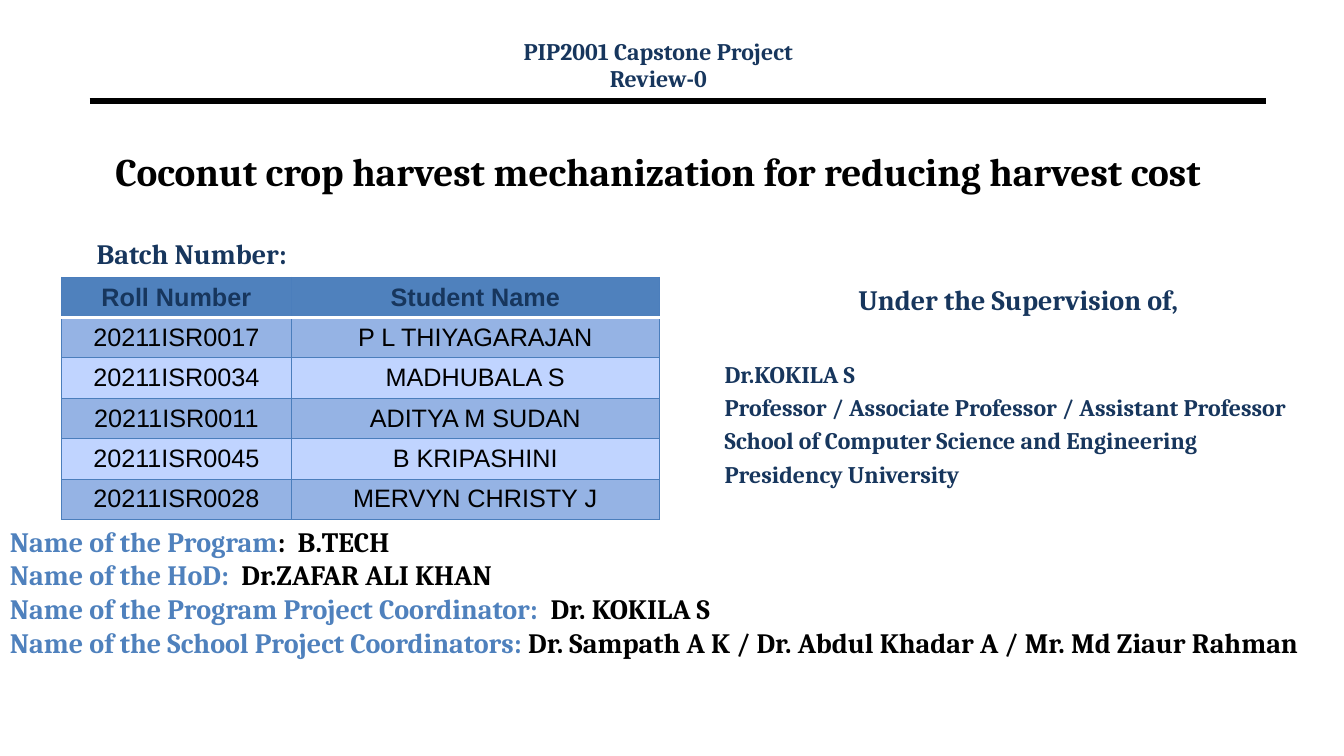
from lxml import etree
from pptx import Presentation
from pptx.dml.color import RGBColor
from pptx.enum import shapes, text
from pptx.oxml import ns
from pptx.util import Pt

COLORS = {"black": "000000", "white": "FFFFFF", "navy": "17365D", "blue": "4F81BD",
          "border": "4B7EBC", "band_dark": "95B3E4", "band_light": "C0D4FF"}
CENTER = text.PP_ALIGN.CENTER


def style(para, size, colors, font="Cambria", bold=True):
    for span, color in zip(para.runs, colors):
        span.font.name = font
        span.font.size = Pt(size)
        span.font.bold = bold
        span.font.color.rgb = RGBColor.from_string(COLORS[color])


def add_text(left, top, width, height, lines, size, color="navy", align=None):
    box = page.shapes.add_textbox(Pt(left), Pt(top), Pt(width), Pt(height))
    frame = box.text_frame
    frame.word_wrap = True
    frame.text = "\n".join(lines)
    for para in frame.paragraphs:
        para.alignment = align
        style(para, size, [color])
    return frame


deck = Presentation()
deck.slide_width, deck.slide_height = Pt(960), Pt(540)
page = deck.slides.add_slide(deck.slide_layouts[6])

# Rule under the header
rule = page.shapes.add_connector(shapes.MSO_CONNECTOR.STRAIGHT, Pt(64), Pt(72), Pt(904), Pt(72))
rule.line.width = Pt(4.5)
rule.line.color.rgb = RGBColor.from_string(COLORS["black"])
etree.SubElement(rule._element.spPr, ns.qn("a:effectLst"))

# Header, title and batch label
header = add_text(314, 26.6, 312.5, 43, ["PIP2001 Capstone Project", "Review-0"], 17, align=CENTER)
for para in header.paragraphs:
    para.line_spacing = 0.8
header.paragraphs[1].space_before = Pt(3.1)

title = add_text(62, 84, 816, 76,
                 ["Coconut crop harvest mechanization for reducing harvest cost"],
                 28, "black", CENTER)
title.vertical_anchor = text.MSO_ANCHOR.MIDDLE
add_text(62, 165.6, 312.5, 43, ["Batch Number:"], 20)

# Student table
students = [
    ("Roll Number", "Student Name"),
    ("20211ISR0017", "P L THIYAGARAJAN"),
    ("20211ISR0034", "MADHUBALA S"),
    ("20211ISR0011", "ADITYA M SUDAN"),
    ("20211ISR0045", "B KRIPASHINI"),
    ("20211ISR0028", "MERVYN CHRISTY J"),
]
table = page.shapes.add_table(len(students), 2, Pt(44), Pt(198), Pt(427), Pt(164.4)).table
table.columns[0].width, table.columns[1].width = Pt(164), Pt(263)
for r, student in enumerate(students):
    is_header = r == 0
    table.rows[r].height = Pt(27.4)
    fill = "blue" if is_header else ("band_light", "band_dark")[r % 2]
    for c, value in enumerate(student):
        cell = table.cell(r, c)
        cell.text = value
        cell.vertical_anchor = text.MSO_ANCHOR.MIDDLE
        cell.fill.solid()
        cell.fill.fore_color.rgb = RGBColor.from_string(COLORS[fill])
        para = cell.text_frame.paragraphs[0]
        para.alignment = CENTER
        style(para, 18, ["navy" if is_header else "black"], "Arial", is_header)
        # White divider below the header, thin blue borders elsewhere
        for i, side in enumerate(("lnL", "lnR", "lnT", "lnB")):
            divider = (r, side) in ((0, "lnB"), (1, "lnT"))
            edge = etree.Element(ns.qn(f"a:{side}"), w=str(Pt(2 if divider else 0.75)))
            paint = etree.SubElement(edge, ns.qn("a:solidFill"))
            etree.SubElement(paint, ns.qn("a:srgbClr"),
                             val=COLORS["white" if divider else "border"])
            cell._tc.get_or_add_tcPr().insert(i, edge)

# Supervisor
supervisor = add_text(510.5, 198, 434, 159, [
    "Under the Supervision of,",
    "Dr.KOKILA S",
    "Professor / Associate Professor / Assistant Professor",
    "School of Computer Science and Engineering",
    "Presidency University",
], 17)
heading, name, *details = supervisor.paragraphs
heading.alignment = CENTER
style(heading, 20, ["navy"])
name.space_before = Pt(31)
for para in details:
    para.space_before = Pt(3.4)

# Program contacts: blue label, black value
contacts = [
    ("Name of the Program", ":  B.TECH"),
    ("Name of the HoD:  ", "Dr.ZAFAR ALI KHAN"),
    ("Name of the Program Project Coordinator:  ", "Dr. KOKILA S"),
    ("Name of the School Project Coordinators: ",
     "Dr. Sampath A K / Dr. Abdul Khadar A / Mr. Md Ziaur Rahman"),
]
program = add_text(0, 371, 960, 109, [label for label, _ in contacts], 20)
for para, (_, value) in zip(program.paragraphs, contacts):
    para.add_run().text = value
    style(para, 20, ["blue", "black"])

deck.save("out.pptx")
